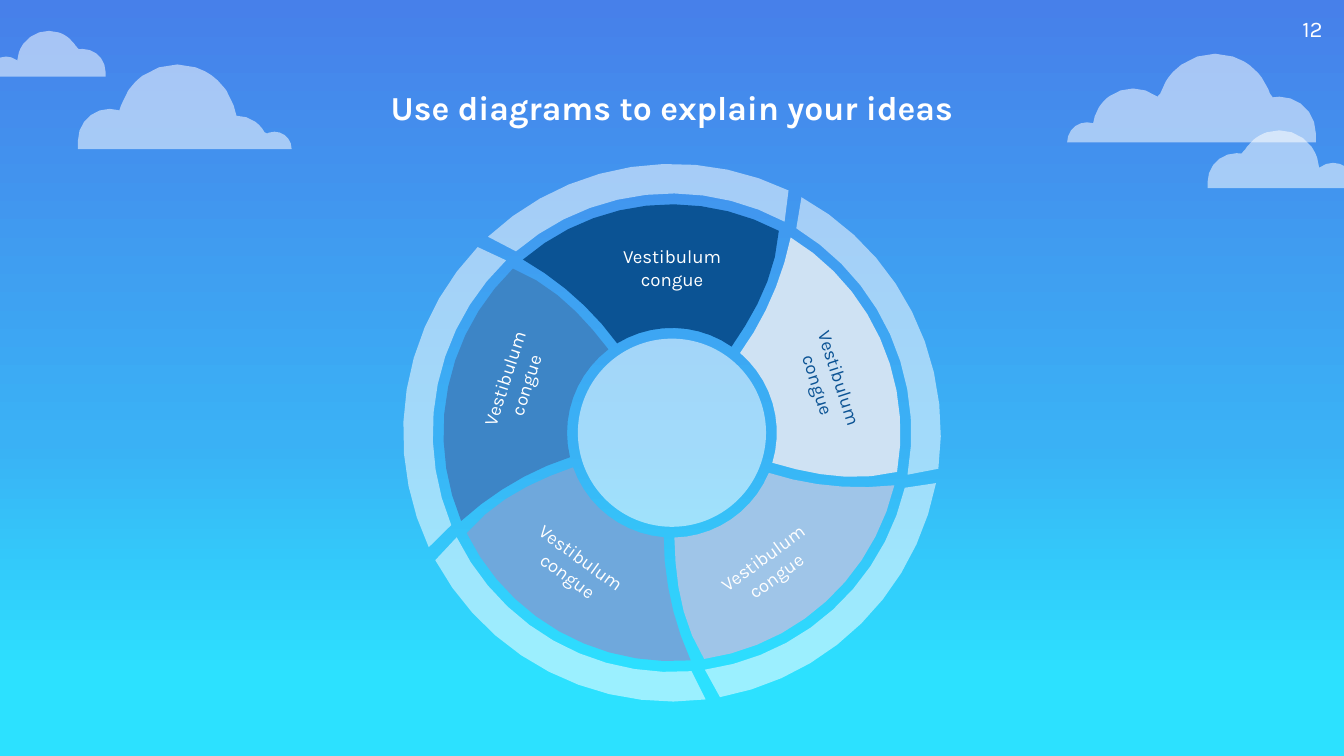
import math
from collections import namedtuple

import lxml.etree
import pptx
import pptx.dml.color
import pptx.enum.shapes
import pptx.enum.text
import pptx.oxml.ns
import pptx.util

Box = namedtuple("Box", "left top width height")
Side = namedtuple("Side", "inner_angle outer_angle bend")
Sector = namedtuple("Sector", "topic fill ink")

WIDTH = pptx.util.Inches(10)
HEIGHT = WIDTH * 9 // 16
CELL = WIDTH / 100

COLORS = {
    "white": "FFFFFF",
    "navy": "0B5394",
    "ice": "CFE2F3",
    "sky": "9FC5E8",
    "azure": "6FA8DC",
    "steel": "3D85C6",
}
SKY_STOPS = {0: "4780EA", 58: "3AB1F5", 90: "2CE1FF", 100: "2CE1FF"}
HAZE = 53

SMALL_PUFFS = [(49, 0, 27), (20, 15.5, 19.5), (85.5, 22, 15)]
TALL_PUFFS = [(46.5, 0, 27.7), (14.8, 20.8, 14.8), (74.2, 24, 15), (92, 31.5, 8)]
LONG_PUFFS = [(59.5, 0, 23.2), (26.5, 14, 16.2), (8, 27.6, 8), (85.4, 17.3, 14.6)]
CLOUDS = [
    (Box(5.8, 4.8, 15.9, 6.3), TALL_PUFFS, False),
    (Box(89.8, 9.7, 11, 4.3), SMALL_PUFFS, False),
    (Box(79.4, 4, 18.5, 6.6), LONG_PUFFS, False),
    (Box(-0.8, 2.3, 8.7, 3.4), SMALL_PUFFS, True),
]

SECTORS = [
    Sector("Vestibulum congue", "navy", "white"),
    Sector("Vestibulum congue", "ice", "navy"),
    Sector("Vestibulum congue", "sky", "white"),
    Sector("Vestibulum congue", "azure", "white"),
    Sector("Vestibulum congue", "steel", "white"),
]
PETAL = (0.39, 0.85, Side(-31.5, -40.7, 1.2), Side(34.7, 27.9, 2))
RIM = (0.89, 1, Side(-40.7, -43.2, 1), Side(28.1, 25.7, 1))


def rgb(name):
    """Return the named colour."""
    return pptx.dml.color.RGBColor.from_string(COLORS[name])


def emu(box):
    """Turn a box in grid cells into whole EMU lengths."""
    return [round(length * CELL) for length in box]


def paint(shape, color, opacity=100):
    """Fill a shape flat, without outline or shadow."""
    shape.shadow.inherit = False
    shape.line.fill.background()
    shape.fill.solid()
    shape.fill.fore_color.rgb = rgb(color)
    if opacity < 100:
        tint = shape.element.spPr.find(".//" + pptx.oxml.ns.qn("a:srgbClr"))
        alpha = lxml.etree.SubElement(tint, pptx.oxml.ns.qn("a:alpha"))
        alpha.set("val", str(opacity * 1000))


def add_outline(slide, points, color, opacity=100):
    """Draw a closed, filled outline through points in grid cells."""
    corners = [(round(x * CELL), round(y * CELL)) for x, y in points]
    builder = slide.shapes.build_freeform(*corners[0])
    builder.add_line_segments(corners[1:], close=True)
    paint(builder.convert_to_shape(), color, opacity)


def add_text(slide, text, box, size, color="white", bold=False, align="CENTER", turn=0):
    """Place one paragraph of text in a box, turned if asked."""
    label = slide.shapes.add_textbox(*emu(box))
    label.rotation = turn
    frame = label.text_frame
    frame.word_wrap = True
    frame.vertical_anchor = pptx.enum.text.MSO_ANCHOR.MIDDLE
    frame.margin_left = frame.margin_right = pptx.util.Inches(0.1)
    frame.margin_top = frame.margin_bottom = pptx.util.Inches(0.1)
    paragraph = frame.paragraphs[0]
    paragraph.alignment = getattr(pptx.enum.text.PP_ALIGN, align)
    run = paragraph.add_run()
    run.text = text
    run.font.name = "Karla"
    run.font.size = pptx.util.Pt(size)
    run.font.bold = bold
    run.font.color.rgb = rgb(color)


def paint_sky(slide):
    """Give the slide its top-to-bottom gradient."""
    fill = slide.background.fill
    fill.gradient()
    fill.gradient_angle = 270
    stops = slide.element.find(".//" + pptx.oxml.ns.qn("a:gsLst"))
    for stop in list(stops):
        stops.remove(stop)
    for share, color in SKY_STOPS.items():
        stop = lxml.etree.SubElement(stops, pptx.oxml.ns.qn("a:gs"))
        stop.set("pos", str(share * 1000))
        tint = lxml.etree.SubElement(stop, pptx.oxml.ns.qn("a:srgbClr"))
        tint.set("val", color)


def add_cloud(slide, box, puffs, mirrored, steps=10):
    """Draw a flat-based cloud over round puffs (centre, top, radius in % of width)."""
    base = box.top + box.height
    columns = sorted(centre - r * math.cos(math.pi * step / steps)
                     for centre, top, r in puffs for step in range(steps + 1))
    skyline = []
    for x in columns:
        tops = [top + r - math.sqrt(max(0, r * r - (x - centre) ** 2))
                for centre, top, r in puffs if abs(x - centre) <= r + 0.01]
        y = min([box.top + top * box.width / 100 for top in tops] + [base])
        share = (100 - x if mirrored else x) / 100
        skyline.append((box.left + share * box.width, y))
    ends = [(skyline[-1][0], base), (skyline[0][0], base)]
    add_outline(slide, skyline + ends, "white", HAZE)


def polar(box, radius, angle):
    """Find a point by share of the wheel's radius and clockwise angle from the top."""
    reach = radius * box.width / 2
    turn = math.radians(angle)
    return (box.left + box.width / 2 + reach * math.sin(turn),
            box.top + box.height / 2 - reach * math.cos(turn))


def sector_points(box, turn, inner, outer, left, right):
    """Trace a ring sector whose sides bend between its two arcs."""

    def side(edge):
        """Trace one side outwards, in one step if it is straight."""
        steps = 1 if edge.bend == 1 else 5
        sweep = edge.outer_angle - edge.inner_angle
        return [(inner + step / steps * (outer - inner),
                 edge.inner_angle + sweep * (step / steps) ** edge.bend)
                for step in range(steps + 1)]

    def arc(radius, start, end, steps=10):
        """Trace the points between the ends of an arc."""
        return [(radius, start + step / steps * (end - start)) for step in range(1, steps)]

    trace = (side(left) + arc(outer, left.outer_angle, right.outer_angle)
             + side(right)[::-1] + arc(inner, right.inner_angle, left.inner_angle))
    return [polar(box, radius, angle + turn) for radius, angle in trace]


def add_wheel(slide, box, sectors):
    """Draw the hub, then each sector with its rim and upright-reading label."""
    hub = Box(box.left + box.width * 0.325, box.top + box.height * 0.325,
              box.width * 0.35, box.height * 0.35)
    circle = slide.shapes.add_shape(pptx.enum.shapes.MSO_SHAPE.OVAL, *emu(hub))
    paint(circle, "white", HAZE)
    label_width, label_height = box.width * 0.345, box.height * 0.148
    for index, sector in enumerate(sectors):
        turn = index * 360 / len(sectors)
        add_outline(slide, sector_points(box, turn, *RIM), "white", HAZE)
        add_outline(slide, sector_points(box, turn, *PETAL), sector.fill)
        x, y = polar(box, 0.615, turn)
        label = Box(x - label_width / 2, y - label_height / 2, label_width, label_height)
        upside_down = 90 < turn < 270
        add_text(slide, sector.topic, label, size=10, color=sector.ink,
                 turn=(turn + 180 * upside_down) % 360)


def main():
    """Build the slide and save it."""
    deck = pptx.Presentation()
    deck.slide_width, deck.slide_height = WIDTH, HEIGHT
    slide = deck.slides.add_slide(deck.slide_layouts[6])
    paint_sky(slide)
    for box, puffs, mirrored in CLOUDS:
        add_cloud(slide, box, puffs, mirrored)
    add_text(slide, "Use diagrams to explain your ideas", Box(9.3, 4.3, 81.4, 7.3),
             size=18, bold=True)
    add_text(slide, "12", Box(93.4, 0, 6, 4.3), size=12, align="RIGHT")
    add_wheel(slide, Box(30, 12.2, 40, 40), SECTORS)
    deck.save("out.pptx")


if __name__ == "__main__":
    main()
